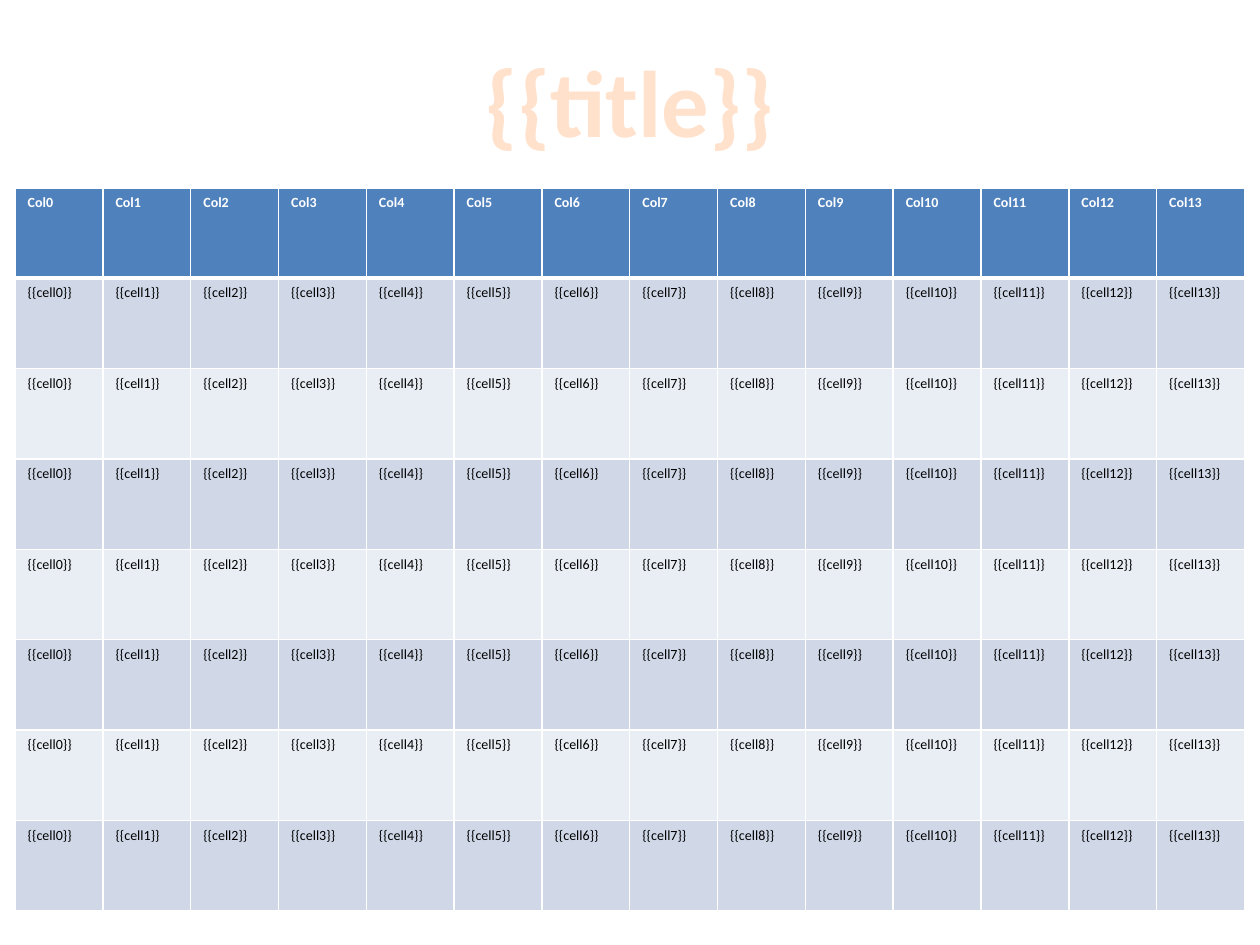
from dataclasses import dataclass

from lxml.etree import SubElement
from pptx import Presentation
from pptx.dml.color import RGBColor as Rgb
from pptx.enum.text import MSO_ANCHOR as Anchor, PP_ALIGN as Align
from pptx.oxml.ns import qn
from pptx.util import Inches, Pt


@dataclass(frozen=True)
class Theme:
    font: str = "Calibri"
    title_size: int = 54
    cell_size: int = 8
    title: str = "FFE1CC"
    header: str = "4F81BD"
    bands: tuple = ("D0D8E8", "E9EDF4")
    light: str = "FFFFFF"
    dark: str = "000000"
    rule: int = 1
    header_rule: int = 3


THEME = Theme()
COLUMNS = 14
BODY_ROWS = 7


def write(frame, text, *, size, color, bold=False, align=Align.LEFT):
    paragraph = frame.paragraphs[0]
    paragraph.alignment = align
    run = paragraph.add_run()
    run.text = text
    run.font.name = THEME.font
    run.font.size = Pt(size)
    run.font.bold = bold
    run.font.color.rgb = Rgb.from_string(color)
    return run


def add_line(parent, tag, color, width):
    line = SubElement(parent, qn(tag), w=str(Pt(width)))
    fill = SubElement(line, qn("a:solidFill"))
    SubElement(fill, qn("a:srgbClr"), val=color)
    return line


def style_cell(cell, color, bottom):
    properties = cell._tc.get_or_add_tcPr()
    for side, width in (("L", THEME.rule), ("R", THEME.rule),
                        ("T", THEME.rule), ("B", bottom)):
        add_line(properties, f"a:ln{side}", THEME.light, width)
    cell.fill.solid()
    cell.fill.fore_color.rgb = Rgb.from_string(color)


def place_title(slide, left, top, width, height):
    title = slide.shapes.title
    title.left, title.top, title.width, title.height = left, top, width, height
    title.text_frame.vertical_anchor = Anchor.MIDDLE
    run = write(title.text_frame, "{{title}}", size=THEME.title_size,
                color=THEME.title, bold=True, align=Align.CENTER)
    outline = add_line(run._r.get_or_add_rPr(), "a:ln", THEME.title, THEME.rule)
    run._r.get_or_add_rPr().insert(0, outline)


def place_table(slide, left, top, width, height):
    rows = BODY_ROWS + 1
    table = slide.shapes.add_table(rows, COLUMNS, left, top, width, height).table
    for column in table.columns:
        column.width = int(width / COLUMNS)
    for row in table.rows:
        row.height = int(height / rows)
    for index in range(COLUMNS):
        header = table.cell(0, index)
        style_cell(header, THEME.header, THEME.header_rule)
        write(header.text_frame, f"Col{index}", size=THEME.cell_size,
              color=THEME.light, bold=True)
        for row in range(1, rows):
            cell = table.cell(row, index)
            style_cell(cell, THEME.bands[(row - 1) % 2], THEME.rule)
            write(cell.text_frame, f"{{{{cell{index}}}}}", size=THEME.cell_size,
                  color=THEME.dark)


def main():
    deck = Presentation()
    deck.slide_width, deck.slide_height = Inches(10), Inches(7.5)
    slide = deck.slides.add_slide(deck.slide_layouts[5])
    place_title(slide, Inches(0.5), Inches(0.17), Inches(9), Inches(1.25))
    place_table(slide, Inches(0.12), Inches(1.49), Inches(9.76), Inches(5.74))
    deck.save("out.pptx")


if __name__ == "__main__":
    main()
